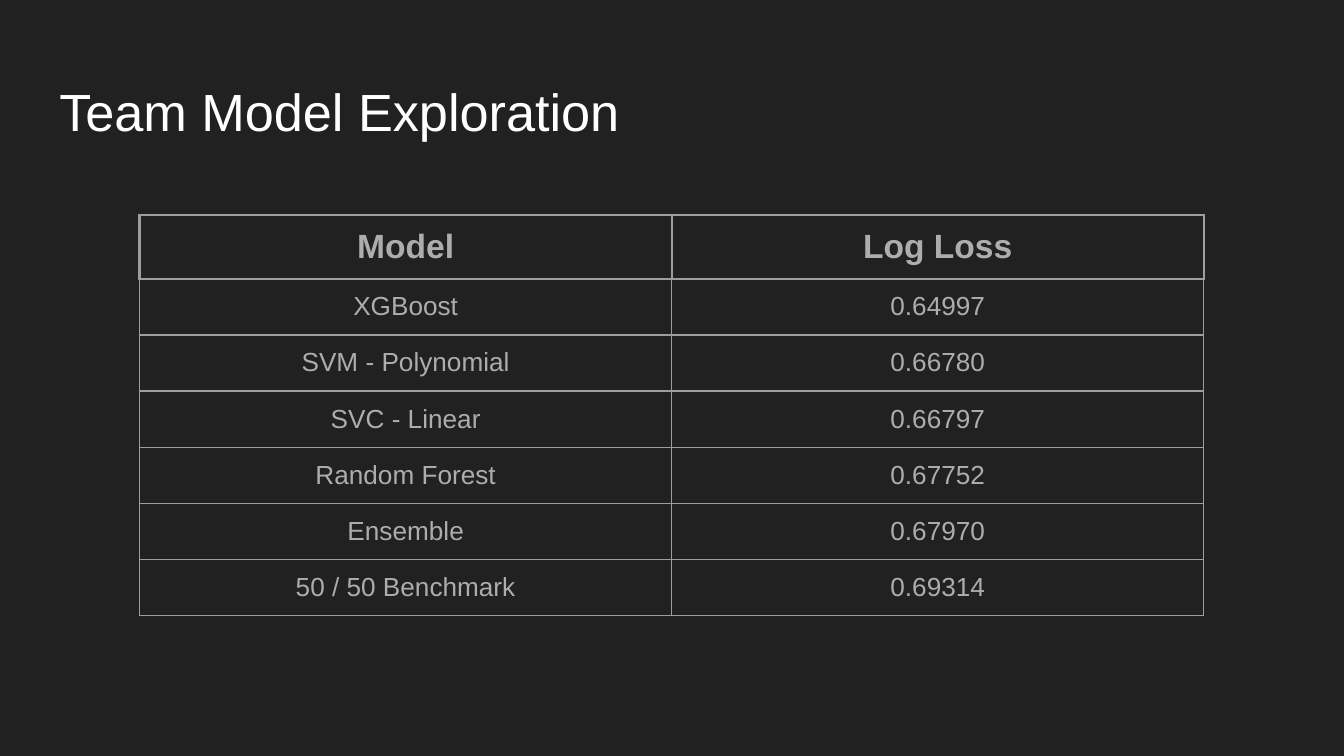
from dataclasses import dataclass

from lxml.etree import SubElement
from pptx import Presentation
from pptx.dml.color import RGBColor as Rgb
from pptx.enum.text import MSO_ANCHOR as Anchor, PP_ALIGN as Align
from pptx.oxml.ns import qn
from pptx.util import Cm, Pt


@dataclass(frozen=True)
class Theme:
    """Colours, font and type sizes of the deck."""
    background: str = "212121"
    heading: str = "FFFFFF"
    body: str = "ADADAD"
    rule: str = "9E9E9E"
    font: str = "Arial"
    title_size: int = 28
    header_size: int = 18
    body_size: int = 14
    thin: float = 0.75
    thick: float = 1.5
    inset: float = 0.25


class SlideBuilder:
    """Holds the theme and the current slide."""

    def __init__(self, slide, theme):
        self.slide = slide
        self.theme = theme
        fill = slide.background.fill
        fill.solid()
        fill.fore_color.rgb = Rgb.from_string(theme.background)

    def style(self, paragraph, size, color, bold=False, align=Align.LEFT):
        """Format a paragraph and its runs."""
        paragraph.alignment = align
        for run in paragraph.runs:
            run.font.name = self.theme.font
            run.font.size = Pt(size)
            run.font.bold = bold
            run.font.color.rgb = Rgb.from_string(color)

    def set_insets(self, holder):
        """Give a cell or text frame equal margins."""
        for side in ("left", "right", "top", "bottom"):
            setattr(holder, f"margin_{side}", Cm(self.theme.inset))

    def title(self, text, left, top, width, height):
        """Place and fill the title placeholder."""
        heading = self.slide.shapes.title
        heading.left, heading.top = Cm(left), Cm(top)
        heading.width, heading.height = Cm(width), Cm(height)
        frame = heading.text_frame
        frame.text = text
        frame.word_wrap = True
        frame.vertical_anchor = Anchor.TOP
        self.set_insets(frame)
        self.style(frame.paragraphs[0], self.theme.title_size, self.theme.heading)

    def borders(self, cell, widths):
        """Draw the left, right, top and bottom borders of a cell."""
        properties = cell._tc.get_or_add_tcPr()
        for position, (side, width) in enumerate(zip("LRTB", widths)):
            line = SubElement(properties, qn(f"a:ln{side}"), w=str(Pt(width)))
            solid = SubElement(line, qn("a:solidFill"))
            SubElement(solid, qn("a:srgbClr"), val=self.theme.rule)
            properties.insert(position, line)

    def table(self, rows, left, top, width, row_height):
        """Add a centred table whose first row is the header."""
        theme = self.theme
        grid = self.slide.shapes.add_table(
            len(rows), len(rows[0]), Cm(left), Cm(top),
            Cm(width), Cm(row_height * len(rows))).table
        grid.horz_banding = False
        for row_index, row in enumerate(rows):
            is_header = row_index == 0
            size = theme.header_size if is_header else theme.body_size
            side = theme.thick if is_header else theme.thin
            upper = theme.thick if row_index <= 1 else theme.thin
            for column_index, text in enumerate(row):
                cell = grid.cell(row_index, column_index)
                cell.text_frame.text = text
                cell.fill.background()
                self.set_insets(cell)
                self.style(cell.text_frame.paragraphs[0], size, theme.body,
                           is_header, Align.CENTER)
                self.borders(cell, (side, side, upper, side))


MODEL_SCORES = [
    ("Model", "Log Loss"),
    ("XGBoost", "0.64997"),
    ("SVM - Polynomial", "0.66780"),
    ("SVC - Linear", "0.66797"),
    ("Random Forest", "0.67752"),
    ("Ensemble", "0.67970"),
    ("50 / 50 Benchmark", "0.69314"),
]


def main():
    """Build and save the slide."""
    deck = Presentation()
    deck.slide_width, deck.slide_height = Cm(25.4), Cm(14.29)
    title_only = deck.slide_layouts[5]
    builder = SlideBuilder(deck.slides.add_slide(title_only), Theme())
    builder.title("Team Model Exploration", 0.87, 1.24, 23.67, 1.59)
    builder.table(MODEL_SCORES, left=2.64, top=4.06, width=20.11, row_height=1.06)
    deck.save("out.pptx")


if __name__ == "__main__":
    main()
